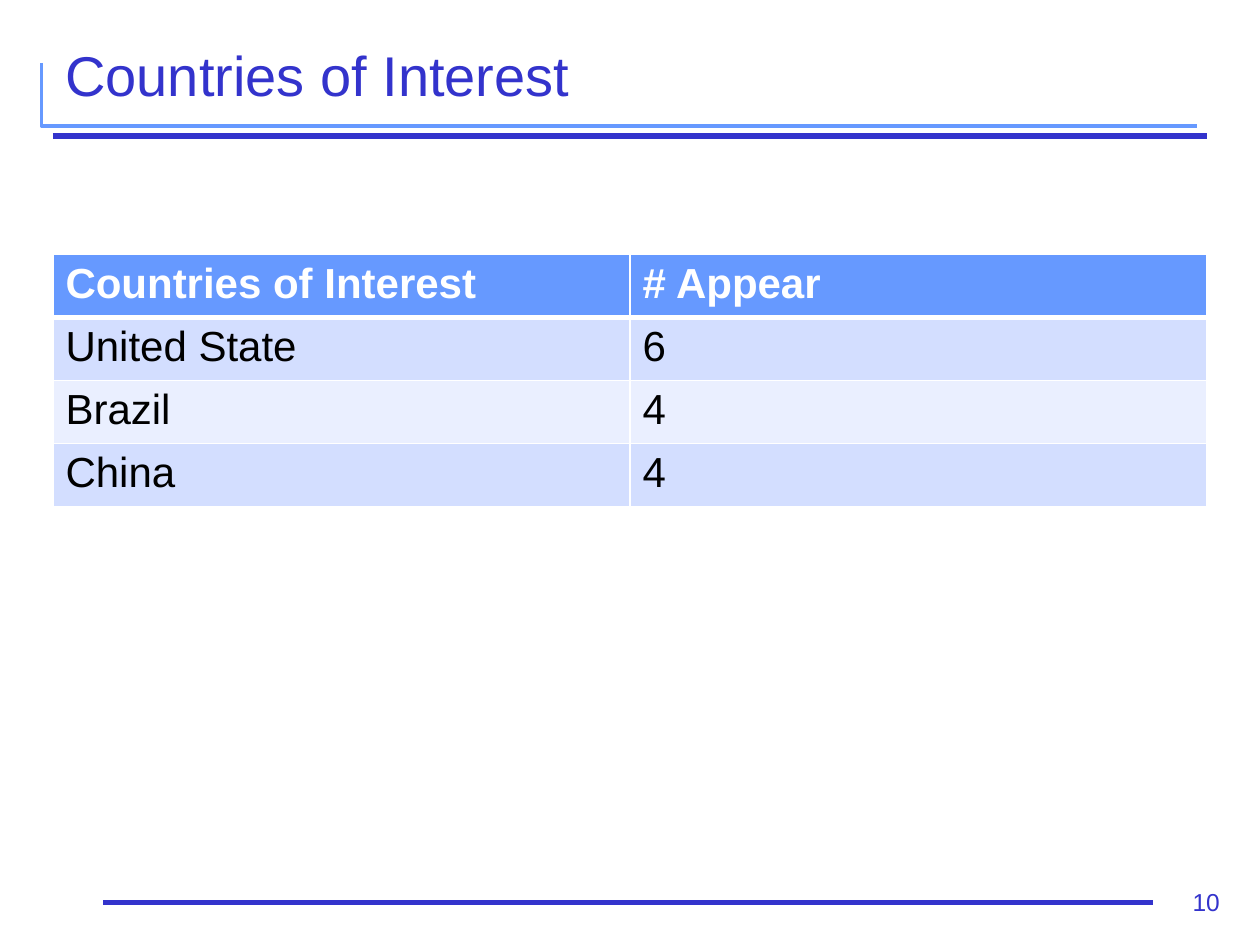
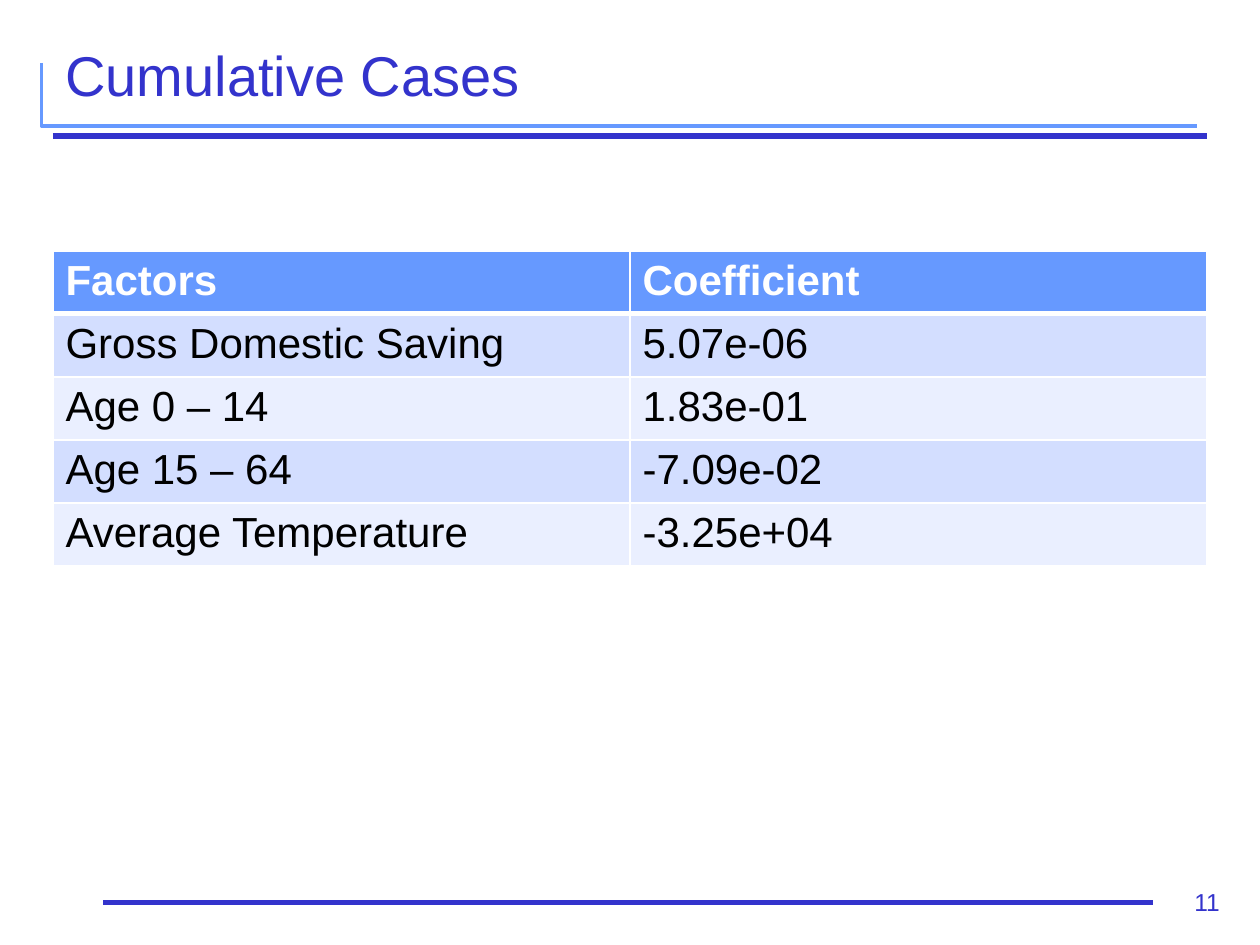
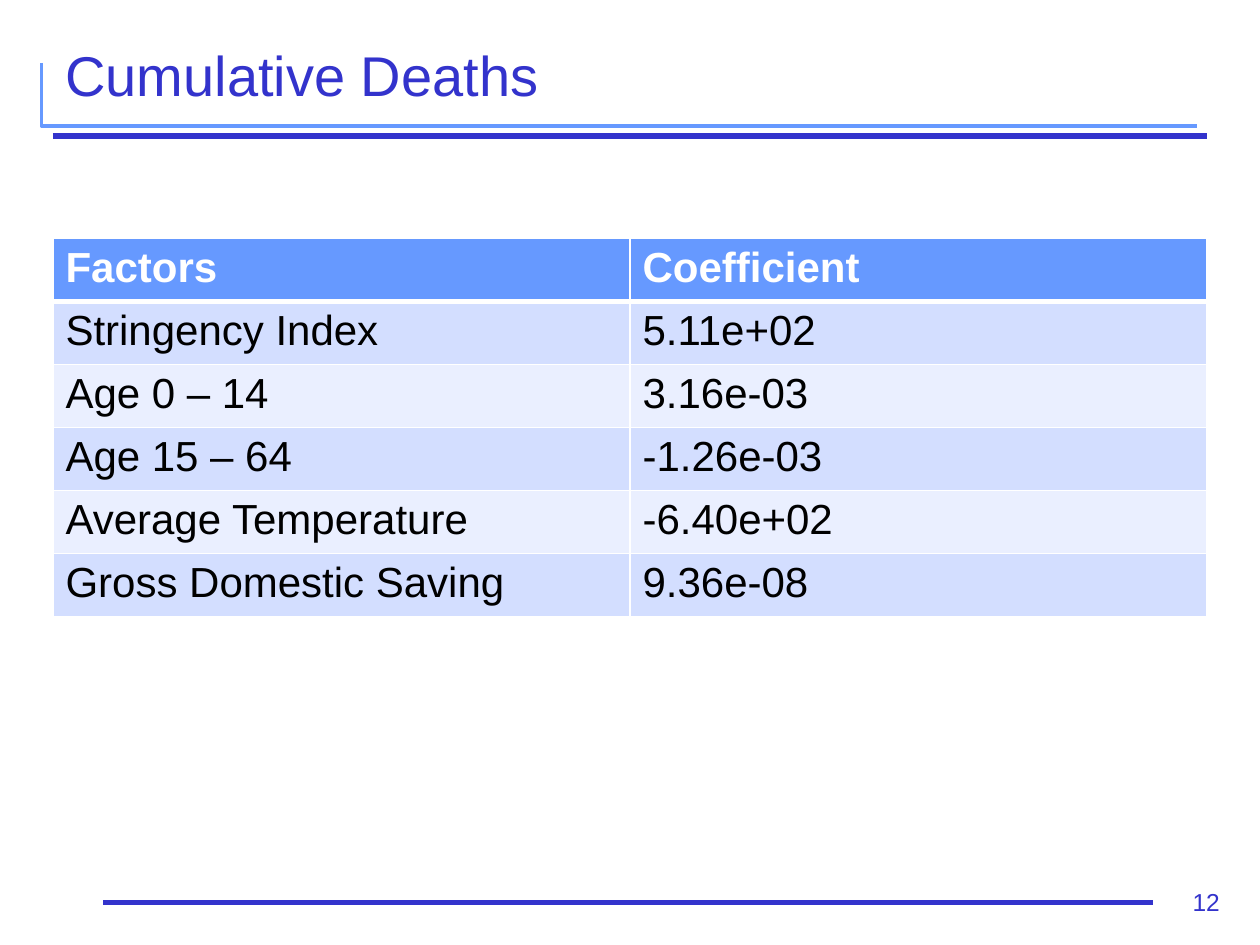
"""Builds three slides that each show a two-column table of findings."""
from typing import NamedTuple

from pptx import Presentation
from pptx import util as u
from pptx.dml.color import RGBColor
from pptx.enum import shapes, text
from pptx.oxml import parse_xml
from pptx.oxml.ns import nsdecls

PX = u.Inches(1) // 100
FONT = "Arial"
INDIGO = RGBColor(0x33, 0x33, 0xCC)
SKY = RGBColor(0x66, 0x99, 0xFF)
BAND_DARK = RGBColor(0xD3, 0xDE, 0xFF)
BAND_LIGHT = RGBColor(0xEA, 0xEF, 0xFF)
WHITE = RGBColor(0xFF, 0xFF, 0xFF)
BLACK = RGBColor(0x00, 0x00, 0x00)

TABLE_LEFT = 42
COLUMN_WIDTH = 458
ROW_HEIGHT = 41
FRAME_ROW_HEIGHT = 50
FIRST_PAGE_NUMBER = 10


class Rule(NamedTuple):
    left: int
    right: int
    y: int


class Label(NamedTuple):
    left: int
    top: int
    width: int
    height: int
    size: int
    align: text.PP_ALIGN
    anchor: text.MSO_ANCHOR


class TablePage(NamedTuple):
    title: str
    table_top: int
    rows: list[tuple[str, str]]


RULES = [Rule(42, 958, 108), Rule(82, 915, 716)]
BRACKET = [(33, 50), (33, 100), (950, 100)]
TITLE = Label(42, 26, 917, 66, 32, text.PP_ALIGN.LEFT, text.MSO_ANCHOR.MIDDLE)
PAGE_NUMBER = Label(918, 699, 60, 33, 14, text.PP_ALIGN.RIGHT, text.MSO_ANCHOR.TOP)

PAGES = [
    TablePage("Countries of Interest", 202, [
        ("Countries of Interest", "# Appear"),
        ("United State", "6"),
        ("Brazil", "4"),
        ("China", "4"),
    ]),
    TablePage("Cumulative Cases", 199, [
        ("Factors", "Coefficient"),
        ("Gross Domestic Saving", "5.07e-06"),
        ("Age 0 – 14", "1.83e-01"),
        ("Age 15 – 64", "-7.09e-02"),
        ("Average Temperature", "-3.25e+04"),
    ]),
    TablePage("Cumulative Deaths", 189, [
        ("Factors", "Coefficient"),
        ("Stringency Index", "5.11e+02"),
        ("Age 0 – 14", "3.16e-03"),
        ("Age 15 – 64", "-1.26e-03"),
        ("Average Temperature", "-6.40e+02"),
        ("Gross Domestic Saving", "9.36e-08"),
    ]),
]


def style_font(font, size: int, color: RGBColor, bold: bool = False) -> None:
    font.name = FONT
    font.size = u.Pt(size)
    font.bold = bold
    font.color.rgb = color


def draw_bracket(page) -> None:
    builder = page.shapes.build_freeform(*BRACKET[0], scale=PX)
    builder.add_line_segments(BRACKET[1:], close=False)
    bracket = builder.convert_to_shape()
    bracket.shadow.inherit = False
    bracket.fill.background()
    bracket.line.color.rgb = SKY
    bracket.line.width = u.Pt(2)


def draw_rule(page, rule: Rule) -> None:
    line = page.shapes.add_connector(
        shapes.MSO_CONNECTOR.STRAIGHT,
        rule.left * PX, rule.y * PX, rule.right * PX, rule.y * PX)
    line.line.color.rgb = INDIGO
    line.line.width = u.Pt(3)
    line._element.spPr.append(parse_xml(f"<a:effectLst {nsdecls('a')}/>"))


def draw_label(page, label: Label, words: str) -> None:
    box = page.shapes.add_textbox(
        label.left * PX, label.top * PX, label.width * PX, label.height * PX)
    frame = box.text_frame
    frame.word_wrap = True
    frame.vertical_anchor = label.anchor
    para = frame.paragraphs[0]
    para.text = words
    para.alignment = label.align
    style_font(para.font, label.size, INDIGO)


def set_borders(cell, top: int, bottom: int) -> None:
    properties = cell._tc.get_or_add_tcPr()
    for side, width in (("L", 1), ("R", 1), ("T", top), ("B", bottom)):
        properties.append(parse_xml(
            f'<a:ln{side} {nsdecls("a")} w="{u.Pt(width)}"><a:solidFill>'
            f'<a:srgbClr val="{WHITE}"/></a:solidFill></a:ln{side}>'))


def draw_table(page, content: TablePage) -> None:
    count = len(content.rows)
    frame = page.shapes.add_table(
        count, 2, TABLE_LEFT * PX, content.table_top * PX,
        2 * COLUMN_WIDTH * PX, count * ROW_HEIGHT * PX)
    table = frame.table
    for column in table.columns:
        column.width = COLUMN_WIDTH * PX
    for row_index, values in enumerate(content.rows):
        header = row_index == 0
        band = BAND_DARK if row_index % 2 else BAND_LIGHT
        for column_index, value in enumerate(values):
            cell = table.cell(row_index, column_index)
            set_borders(cell, top=3 if row_index == 1 else 1, bottom=3 if header else 1)
            cell.fill.solid()
            cell.fill.fore_color.rgb = SKY if header else band
            para = cell.text_frame.paragraphs[0]
            para.text = value
            style_font(para.font, 24, WHITE if header else BLACK, bold=header)
    frame.height = count * FRAME_ROW_HEIGHT * PX


def draw_page(deck, content: TablePage, number: int) -> None:
    page = deck.slides.add_slide(deck.slide_layouts[6])
    draw_bracket(page)
    for rule in RULES:
        draw_rule(page, rule)
    draw_label(page, PAGE_NUMBER, str(number))
    draw_label(page, TITLE, content.title)
    draw_table(page, content)


def main() -> None:
    deck = Presentation()
    deck.slide_width = 1000 * PX
    deck.slide_height = 750 * PX
    for number, content in enumerate(PAGES, FIRST_PAGE_NUMBER):
        draw_page(deck, content, number)
    deck.save("out.pptx")


if __name__ == "__main__":
    main()
